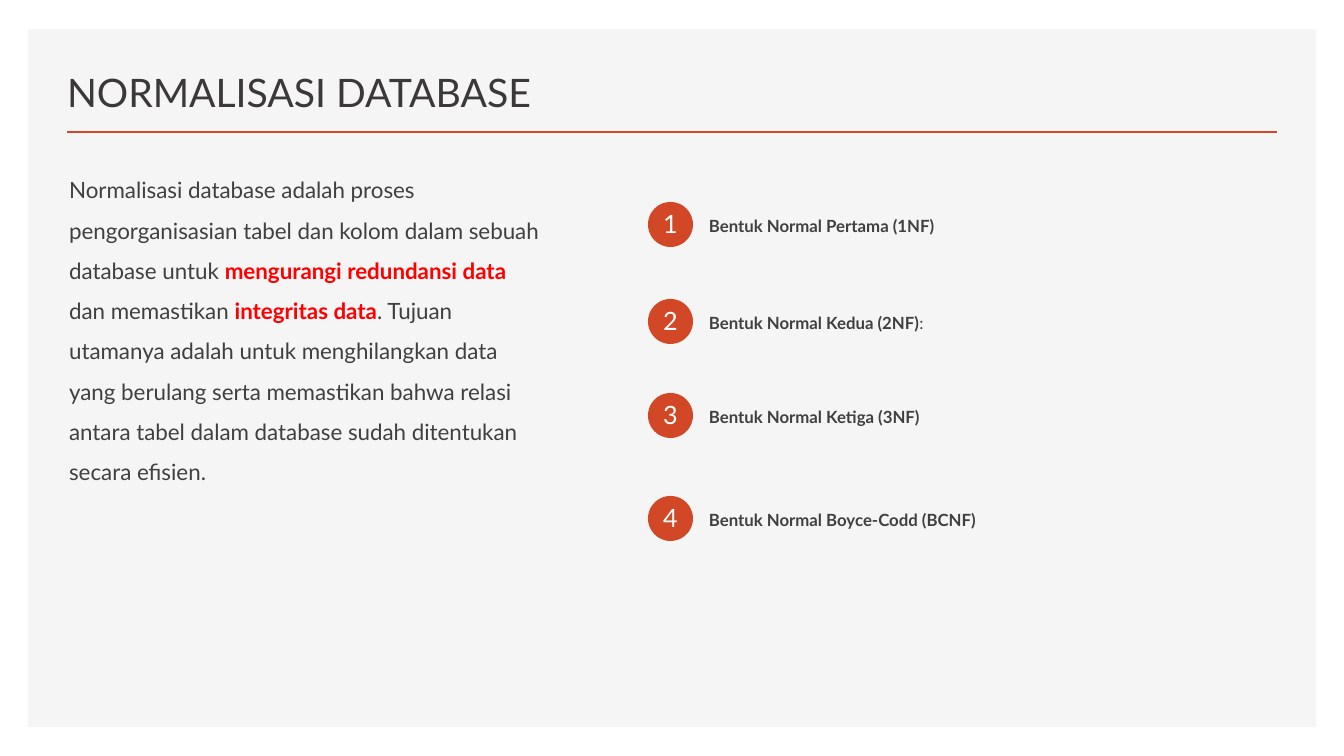
from lxml.etree import SubElement
from pptx import Presentation
from pptx.dml.color import RGBColor
from pptx.enum.shapes import MSO_CONNECTOR, MSO_SHAPE
from pptx.enum.text import MSO_ANCHOR, MSO_AUTO_SIZE, PP_ALIGN
from pptx.oxml.ns import qn
from pptx.util import Pt

EMU_PER_PX = 12192000 / 1344
FONT = "Lato"
ORANGE = "D24726"
GREY = "404040"
RED = "FF0000"
CIRCLE = 45

INTRO = [
    ("Normalisasi database adalah proses pengorganisasian tabel dan kolom dalam sebuah database untuk ", GREY, False),
    ("mengurangi redundansi data", RED, True),
    (" dan memastikan ", GREY, False),
    ("integritas data", RED, True),
    (". Tujuan utamanya adalah untuk menghilangkan data yang berulang serta memastikan bahwa relasi "
     "antara tabel dalam database sudah ditentukan secara efisien.", GREY, False),
]

NORMAL_FORMS = [
    (202, 506, 66, 6, [("Bentuk Normal Pertama (1NF)", GREY, True)]),
    (299, 497, 68, 20, [("Bentuk Normal Kedua (2NF)", GREY, True), (":", GREY, False)]),
    (393, 497, 84, 6, [("Bentuk Normal Ketiga (3NF)", GREY, True)]),
    (496, 497, 62, 20, [("Bentuk Normal Boyce-Codd (BCNF)", GREY, True)]),
]


def px(n):
    return round(n * EMU_PER_PX)


def box(*lengths):
    return [px(n) for n in lengths]


def color(value):
    return RGBColor.from_string(value)


def add_runs(p, runs, size):
    for text, hue, bold in runs:
        r = p.add_run()
        r.text = text
        r.font.name = FONT
        r.font.size = Pt(size)
        r.font.bold = bold
        r.font.color.rgb = color(hue)


def set_spacing(p, line, before, after):
    p.line_spacing = line
    p.space_before = Pt(before)
    p.space_after = Pt(after)


def add_filled(shapes, kind, bounds, fill):
    sp = shapes.add_shape(kind, *box(*bounds))
    sp.shadow.inherit = False
    sp.fill.solid()
    sp.fill.fore_color.rgb = color(fill)
    sp.line.fill.background()
    return sp


def add_rule(s, x1, x2, y):
    line = s.shapes.add_connector(MSO_CONNECTOR.STRAIGHT, *box(x1, y, x2, y))
    line.line.color.rgb = color(ORANGE)
    line.line.width = Pt(2)
    SubElement(line.element.spPr, qn("a:effectLst"))


def add_text(shapes, bounds, runs, size):
    sp = shapes.add_textbox(*box(*bounds))
    sp.text_frame.word_wrap = True
    p = sp.text_frame.paragraphs[0]
    add_runs(p, runs, size)
    return p


def fill_placeholder(sp, bounds, anchor, runs, size):
    sp.left, sp.top, sp.width, sp.height = box(*bounds)
    tf = sp.text_frame
    tf.word_wrap = True
    tf.auto_size = MSO_AUTO_SIZE.NONE
    tf.vertical_anchor = anchor
    p = tf.paragraphs[0]
    p.alignment = PP_ALIGN.LEFT
    add_runs(p, runs, size)
    return p


def remove_bullet(p):
    pPr = p._p.get_or_add_pPr()
    pPr.set("marL", "0")
    pPr.set("indent", "0")
    SubElement(pPr, qn("a:buNone"))


def add_number(s, number, top):
    group = s.shapes.add_group_shape()
    add_filled(group.shapes, MSO_SHAPE.OVAL, (648, top, CIRCLE, CIRCLE), ORANGE)
    p = add_text(group.shapes, (640, top + 1, 61, 40), [(str(number), "FFFFFF", False)], 18)
    p.alignment = PP_ALIGN.CENTER


def add_normal_form(s, number, top, width, height, after, runs):
    add_number(s, number, top)
    p = add_text(s.shapes, (699, top + 4, width, height), runs, 12)
    set_spacing(p, Pt(18), 10, after)


def main():
    prs = Presentation()
    prs.slide_width, prs.slide_height = box(1344, 756)
    s = prs.slides.add_slide(prs.slide_layouts[1])
    title, body = s.shapes.title, s.placeholders[1]

    panel = add_filled(s.shapes, MSO_SHAPE.RECTANGLE, (28, 29, 1288, 698), "F5F5F5")
    title.element.addprevious(panel.element)
    add_rule(s, 67, 1277, 132)

    fill_placeholder(title, (57, 49, 758, 71), MSO_ANCHOR.BOTTOM,
                     [("NORMALISASI DATABASE", "3B3838", False)], 28)
    p = fill_placeholder(body, (59, 158, 493, 438), MSO_ANCHOR.TOP, INTRO, 16)
    set_spacing(p, 1.5, 10, 12)
    remove_bullet(p)

    for number, form in enumerate(NORMAL_FORMS, 1):
        add_normal_form(s, number, *form)

    prs.save("out.pptx")


if __name__ == "__main__":
    main()
